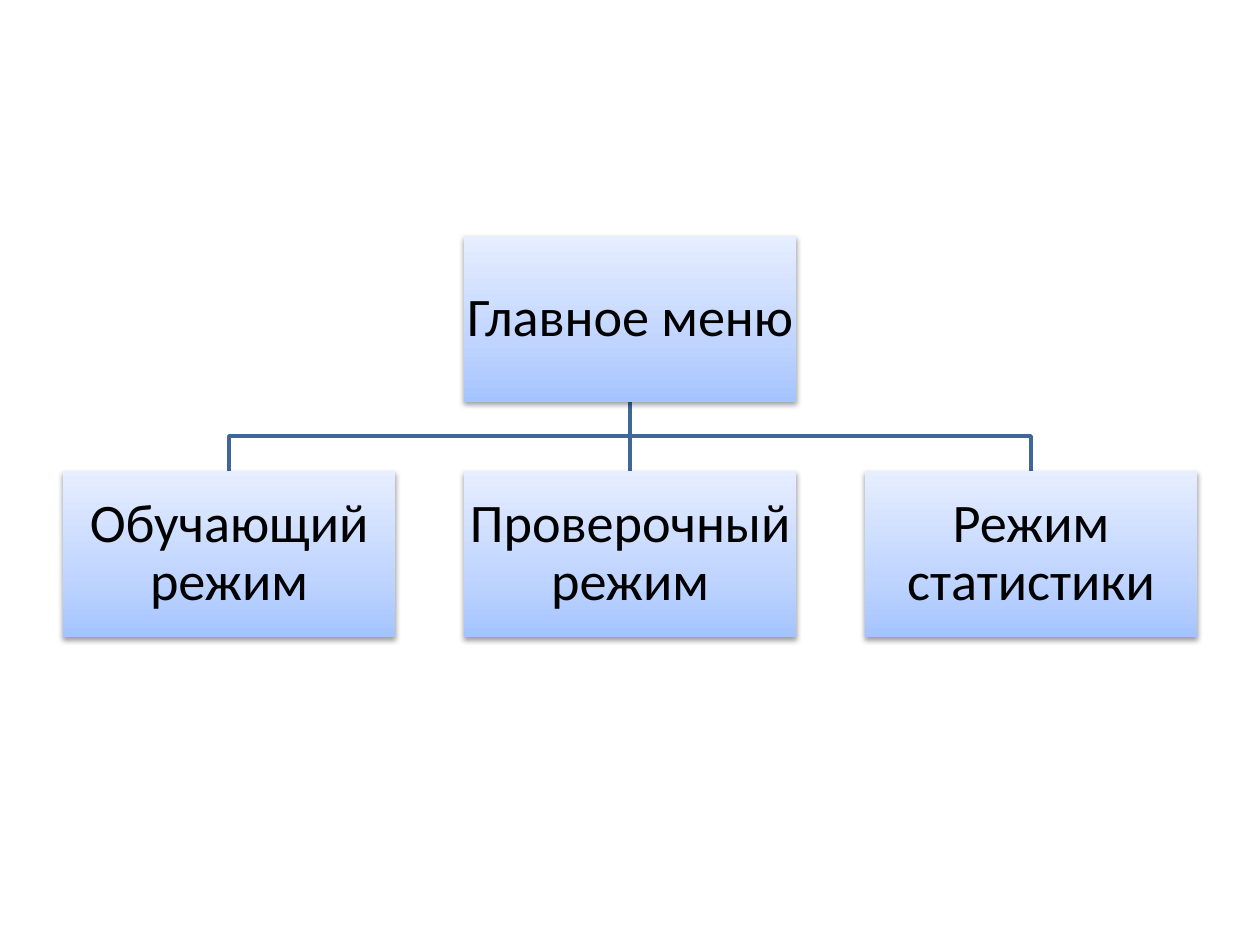
"""Build a slide with the tree of a program's main menu and its three modes."""
from copy import deepcopy

from lxml import etree
from pptx import Presentation
from pptx.dml.color import RGBColor
from pptx.enum.shapes import MSO_CONNECTOR, MSO_SHAPE
from pptx.enum.text import MSO_ANCHOR, PP_ALIGN
from pptx.oxml.ns import qn
from pptx.util import Emu, Pt

RECTANGLE = MSO_SHAPE.RECTANGLE
STRAIGHT = MSO_CONNECTOR.STRAIGHT
MIDDLE = MSO_ANCHOR.MIDDLE
CENTER = PP_ALIGN.CENTER

BLACK = RGBColor(0x00, 0x00, 0x00)
LINE_BLUE = RGBColor(0x3F, 0x67, 0x97)
GRADIENT = [
    (0, RGBColor(0xA4, 0xC4, 0xFF)),
    (0.35, RGBColor(0xBF, 0xD4, 0xFF)),
    (1, RGBColor(0xE6, 0xEE, 0xFF)),
]

PX = 914400 / 126
SLIDE_WIDTH, SLIDE_HEIGHT = 1260, 945
BOX_WIDTH, BOX_HEIGHT = 332, 166
ROOT_TOP, MODE_TOP = 236, 471
MODE_LEFT, MODE_STEP = 63, 401

ROOT = "Главное меню"
MODES = ["Обучающий режим", "Проверочный режим", "Режим статистики"]


def px(length):
    """Turn pixels into EMU."""
    return Emu(round(length * PX))


def set_all(target, values):
    """Set each attribute named in values."""
    for name, value in values.items():
        setattr(target, name, value)


def fill_gradient(box):
    """Fill a box with the gradient, running from bottom to top."""
    box.fill.gradient()
    box.fill.gradient_angle = 90
    stop_list = next(box._element.spPr.iter(qn("a:gsLst")))
    stop_list.insert(1, deepcopy(stop_list[0]))
    for stop, (position, color) in zip(box.fill.gradient_stops, GRADIENT):
        stop.position = position
        stop.color.rgb = color


def add_shadow(box):
    """Give a box a soft shadow below it."""
    box.shadow.inherit = False
    effects = box._element.spPr.find(qn("a:effectLst"))
    shadow = etree.SubElement(
        effects, qn("a:outerShdw"), blurRad=str(Pt(3.1)), dist=str(Pt(1.6)),
        dir="5400000", rotWithShape="0")
    color = etree.SubElement(shadow, qn("a:srgbClr"), val=str(BLACK))
    etree.SubElement(color, qn("a:alpha"), val="38000")


def add_box(page, text, left, top):
    """Add one labelled box of the tree."""
    box = page.shapes.add_shape(
        RECTANGLE, px(left), px(top), px(BOX_WIDTH), px(BOX_HEIGHT))
    fill_gradient(box)
    box.line.fill.background()
    add_shadow(box)
    margins = dict.fromkeys(
        ["margin_left", "margin_right", "margin_top", "margin_bottom"], px(2))
    set_all(box.text_frame,
            {"word_wrap": True, "vertical_anchor": MIDDLE, **margins})
    para = box.text_frame.paragraphs[0]
    set_all(para, {"alignment": CENTER, "line_spacing": 0.9})
    span = para.add_run()
    span.text = text
    set_all(span.font, {"name": "Calibri", "size": Pt(31)})
    span.font.color.rgb = BLACK


def style_line(line):
    """Give a branch its colour and width."""
    line.color.rgb = LINE_BLUE
    line.width = Pt(2)


def add_straight_branch(page, x, top, bottom):
    """Add the vertical branch to the mode right below the root."""
    branch = page.shapes.add_connector(
        STRAIGHT, px(x), px(top), px(x), px(bottom))
    style_line(branch.line)
    etree.SubElement(branch._element.spPr, qn("a:effectLst"))


def add_bent_branch(page, start_x, end_x, top, bottom):
    """Add a branch that bends halfway down towards a mode at the side."""
    middle = (top + bottom) / 2
    builder = page.shapes.build_freeform(start_x, top, scale=PX)
    builder.add_line_segments(
        [(start_x, middle), (end_x, middle), (end_x, bottom)], close=False)
    branch = builder.convert_to_shape()
    branch.fill.background()
    style_line(branch.line)
    branch.shadow.inherit = False


def main():
    """Build the slide and save it."""
    deck = Presentation()
    set_all(deck, {"slide_width": px(SLIDE_WIDTH),
                   "slide_height": px(SLIDE_HEIGHT)})
    page = deck.slides.add_slide(deck.slide_layouts.get_by_name("Blank"))

    center = SLIDE_WIDTH // 2
    root_bottom = ROOT_TOP + BOX_HEIGHT
    lefts = [MODE_LEFT + MODE_STEP * index for index in range(len(MODES))]
    for left in lefts:
        mode_center = left + BOX_WIDTH // 2
        if mode_center == center:
            add_straight_branch(page, center, root_bottom, MODE_TOP)
        else:
            add_bent_branch(page, center, mode_center, root_bottom, MODE_TOP)

    add_box(page, ROOT, center - BOX_WIDTH // 2, ROOT_TOP)
    for text, left in zip(MODES, lefts):
        add_box(page, text, left, MODE_TOP)
    deck.save("out.pptx")


if __name__ == "__main__":
    main()
